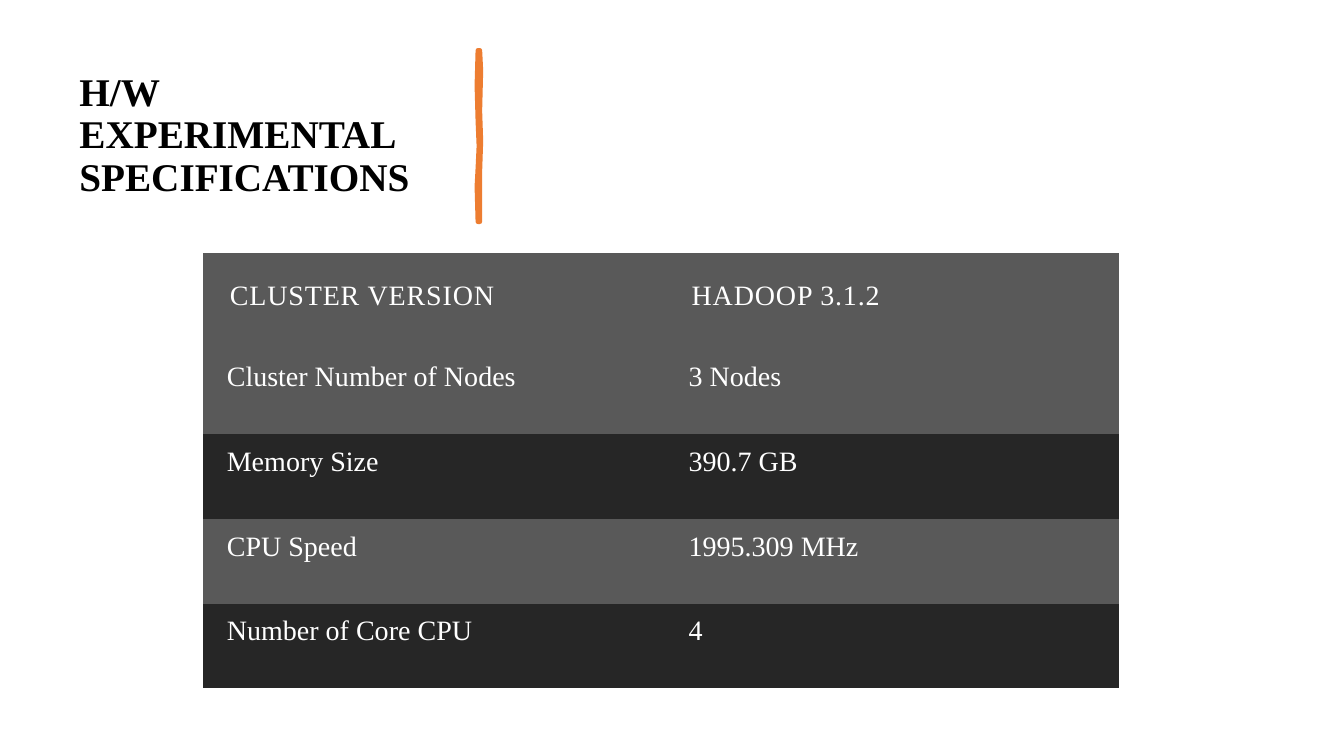
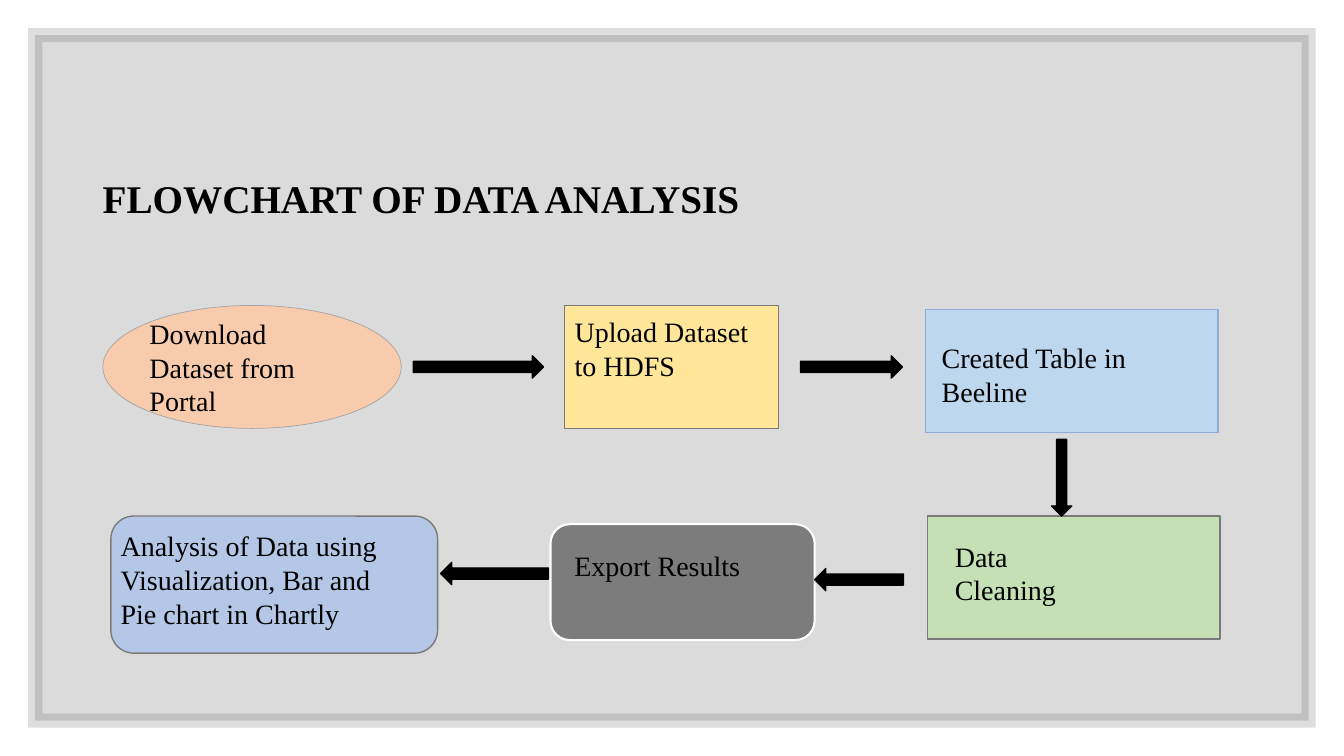
from lxml.etree import SubElement
from pptx import Presentation
from pptx.dml.color import RGBColor
from pptx.enum.shapes import MSO_SHAPE as Preset
from pptx.enum.text import MSO_ANCHOR as Anchor, PP_ALIGN as Align
from pptx.oxml.ns import qn
from pptx.util import Inches, Pt

FONT = "Times New Roman"
BLACK, WHITE, ORANGE = "000000", "FFFFFF", "ED7D31"
DARK, MID, OUTLINE = "262626", "595959", "7A7A7A"
TITLE_SIZE, BODY_SIZE = 28, 20
NO_GRID_STYLE = "{2D5ABB26-0587-4C30-8999-92F81FD0307C}"

SPECIFICATIONS = [
    ("CLUSTER VERSION", "HADOOP 3.1.2"),
    ("Cluster Number of Nodes", "3 Nodes"),
    ("Memory Size", "390.7 GB"),
    ("CPU Speed", "1995.309 MHz"),
    ("Number of Core CPU", "4"),
]
ROW_FILLS = [MID, MID, DARK, MID, DARK]

STEPS = [
    (Preset.OVAL, (1.02, 3.03, 2.96, 1.22), "F8CBAD", "A5A5A5", 0.5,
     (0.03, 0, 0.15, 0), Anchor.MIDDLE, ["Download Dataset from Portal"]),
    (Preset.RECTANGLE, (5.6, 3.03, 2.12, 1.22), "FFE699", OUTLINE, 1,
     (0.1, 0.09, 0.1, 0), Anchor.TOP, ["Upload Dataset to HDFS"]),
    (Preset.RECTANGLE, (9.18, 3.07, 2.9, 1.22), "BDD7EE", "8FAADC", 1,
     (0.16, 0.31, 0.2, 0), Anchor.TOP, ["Created Table in Beeline"]),
    (Preset.RECTANGLE, (9.2, 5.12, 2.9, 1.22), "C5E0B4", OUTLINE, 1,
     (0.27, 0.23, 0.1, 0), Anchor.TOP, ["Data", "Cleaning"]),
    (Preset.ROUNDED_RECTANGLE, (5.46, 5.2, 2.62, 1.15), "7C7C7C", WHITE, 1.5,
     (0.18, 0.19, 0.1, 0), Anchor.TOP, ["Export Results"]),
    (Preset.ROUNDED_RECTANGLE, (1.1, 5.12, 3.24, 1.36), "B4C7E7", OUTLINE, 1,
     (0.03, 0.06, 0.25, 0), Anchor.TOP,
     ["Analysis of Data using Visualization, Bar and Pie chart in Chartly"]),
]

ARROWS = [
    (Preset.RIGHT_ARROW, (4.1, 3.53, 1.29, 0.22)),
    (Preset.RIGHT_ARROW, (7.94, 3.53, 1.01, 0.22)),
    (Preset.DOWN_ARROW, (10.43, 4.36, 0.2, 0.76)),
    (Preset.LEFT_ARROW, (8.08, 5.64, 0.88, 0.22)),
    (Preset.LEFT_ARROW, (4.37, 5.58, 1.07, 0.22)),
]

BRUSH_POINTS = [
    (4.76, 0.5), (4.77, 0.7), (4.76, 1.1), (4.77, 1.4), (4.76, 1.7),
    (4.76, 2.2), (4.74, 2.2), (4.73, 1.85), (4.74, 1.67), (4.75, 1.45),
    (4.74, 1.2), (4.73, 0.85), (4.74, 0.5),
]


def color(value):
    return RGBColor.from_string(value)


def place(box):
    return [Inches(value) for value in box]


def add_text(paragraph, text, size, text_color, bold=False):
    run = paragraph.add_run()
    run.text = text
    font = run.font
    font.name, font.size, font.bold = FONT, Pt(size), bold
    font.color.rgb = color(text_color)
    return run


def set_margins(target, margins):
    (target.margin_left, target.margin_top,
     target.margin_right, target.margin_bottom) = place(margins)


def paint(shape, fill, line, line_width):
    shape.shadow.inherit = False
    shape.fill.solid()
    shape.fill.fore_color.rgb = color(fill)
    shape.line.color.rgb = color(line)
    shape.line.width = Pt(line_width)


def add_preset(slide, preset, box, fill, line, line_width):
    shape = slide.shapes.add_shape(preset, *place(box))
    paint(shape, fill, line, line_width)
    return shape


def add_title(slide, text, box):
    frame = slide.shapes.add_textbox(*place(box)).text_frame
    frame.word_wrap = True
    frame.vertical_anchor = Anchor.MIDDLE
    paragraph = frame.paragraphs[0]
    paragraph.line_spacing = 0.9
    add_text(paragraph, text, TITLE_SIZE, BLACK, bold=True)


def add_brush_stroke(slide):
    points = [tuple(place(point)) for point in BRUSH_POINTS]
    builder = slide.shapes.build_freeform(*points[0])
    builder.add_line_segments(points[1:], close=True)
    stroke = builder.convert_to_shape()
    paint(stroke, ORANGE, ORANGE, 3.25)
    SubElement(stroke.line._get_or_add_ln(), qn("a:round"))


def add_specification_table(slide):
    frame = slide.shapes.add_table(
        len(SPECIFICATIONS), 2, *place((2.01, 2.51, 9.09, 4.33)))
    table = frame.table
    table._tbl.tblPr.find(qn("a:tableStyleId")).text = NO_GRID_STYLE
    for column, width in zip(table.columns, (4.58, 4.51)):
        column.width = Inches(width)
    for index, (values, fill) in enumerate(zip(SPECIFICATIONS, ROW_FILLS)):
        is_header = index == 0
        row = table.rows[index]
        row.height = Inches(0.96 if is_header else 0.84)
        for cell, value in zip(row.cells, values):
            set_margins(cell, (0.27,) * 4 if is_header
                        else (0.24, 0.12, 0.24, 0.18))
            cell.fill.solid()
            cell.fill.fore_color.rgb = color(fill)
            run = add_text(cell.text_frame.paragraphs[0], value,
                           BODY_SIZE, WHITE)
            if is_header:
                run.font._element.set("spc", "60")


def set_opacity(fill, percent):
    element = fill._xPr.find(qn("a:solidFill"))[0]
    SubElement(element, qn("a:alpha")).set("val", str(percent * 1000))


def add_frame_panel(slide):
    panel = add_preset(slide, Preset.RECTANGLE, (0.35, 0.35, 12.63, 6.8),
                       BLACK, DARK, 10)
    set_opacity(panel.fill, 14)
    set_opacity(panel.line.fill, 15)
    SubElement(panel.line._get_or_add_ln(), qn("a:miter")).set("lim", "800000")


def add_step(slide, preset, box, fill, line, line_width, margins, anchor, lines):
    shape = add_preset(slide, preset, box, fill, line, line_width)
    frame = shape.text_frame
    frame.word_wrap = True
    frame.vertical_anchor = anchor
    set_margins(frame, margins)
    for index, text in enumerate(lines):
        paragraph = frame.add_paragraph() if index else frame.paragraphs[0]
        paragraph.alignment = Align.LEFT
        add_text(paragraph, text, BODY_SIZE, BLACK)


def build_specifications(slide):
    add_title(slide, "H/W EXPERIMENTAL SPECIFICATIONS",
              (0.69, 0.55, 3.74, 1.6))
    add_brush_stroke(slide)
    add_specification_table(slide)


def build_flowchart(slide):
    add_frame_panel(slide)
    add_title(slide, "FLOWCHART OF DATA ANALYSIS", (0.92, 1.43, 11.36, 1.12))
    for step in STEPS:
        add_step(slide, *step)
    for preset, box in ARROWS:
        add_preset(slide, preset, box, BLACK, BLACK, 1)


def main():
    presentation = Presentation()
    presentation.slide_width = Inches(13.33)
    presentation.slide_height = Inches(7.5)
    blank = presentation.slide_layouts[6]
    for build in (build_specifications, build_flowchart):
        build(presentation.slides.add_slide(blank))
    presentation.save("out.pptx")


if __name__ == "__main__":
    main()
